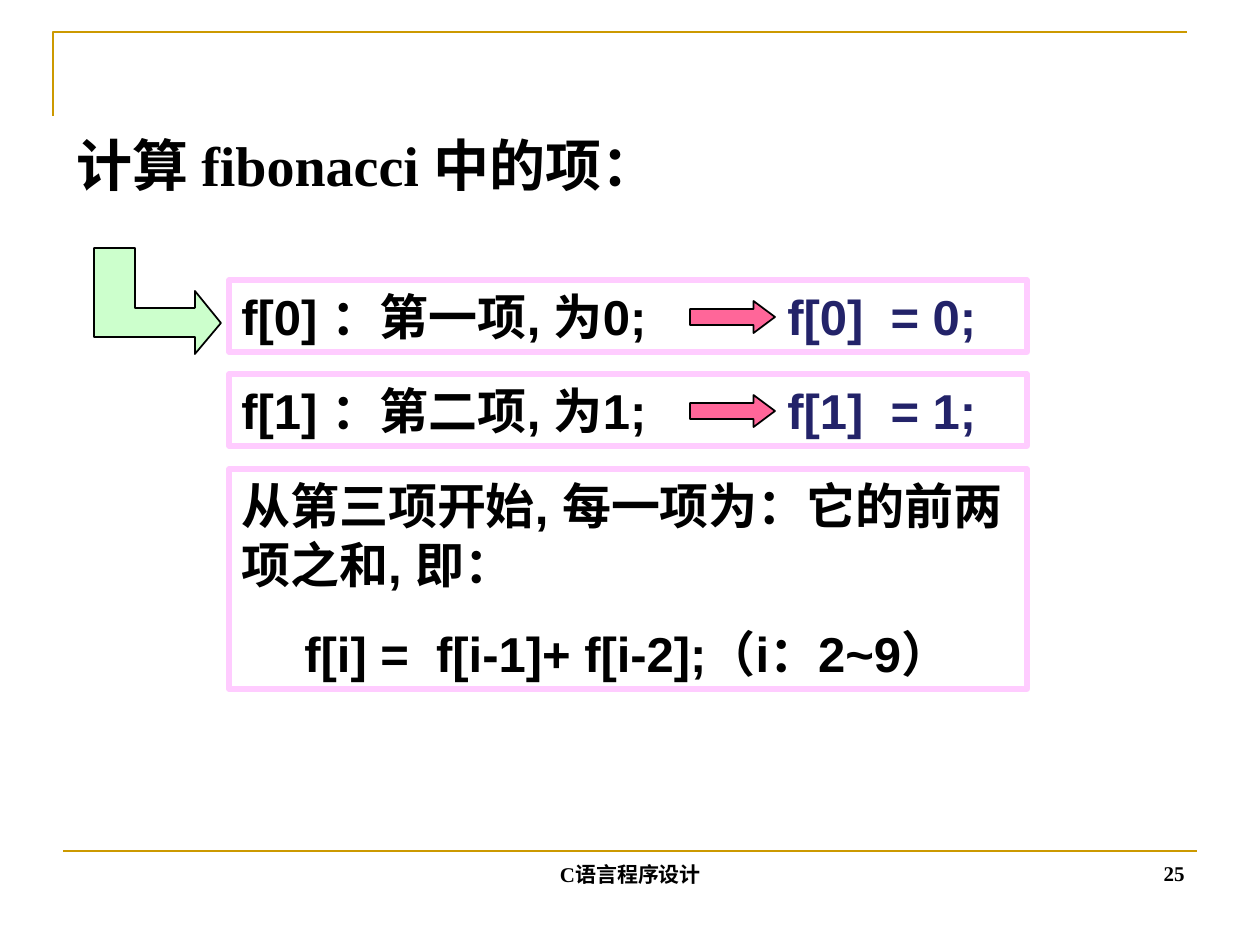
import pptx
import pptx.util
import pptx.dml.color
import pptx.enum.shapes
import pptx.enum.text
import pptx.oxml.ns
import lxml.etree

RGBColor = pptx.dml.color.RGBColor
Align = pptx.enum.text.PP_ALIGN
Anchor = pptx.enum.text.MSO_ANCHOR
Shape = pptx.enum.shapes.MSO_SHAPE

GOLD = RGBColor(0xCC, 0x99, 0x00)
PINK = RGBColor(0xFF, 0xCC, 0xFF)
ROSE = RGBColor(0xFF, 0x66, 0x99)
MINT = RGBColor(0xCC, 0xFF, 0xCC)
NAVY = RGBColor(0x23, 0x23, 0x69)
BLACK = RGBColor(0x00, 0x00, 0x00)

EMU_PER_PX = 914400 / 126
SANS = "Arial"
SERIF = "Times New Roman"

BOX_LEFT, BOX_WIDTH = 229, 798
ROW_TOP, ROW_PITCH, ROW_HEIGHT = 280, 94, 72


def px(length):
    return pptx.util.Emu(round(length * EMU_PER_PX))


def place(left, top, width, height):
    return px(left), px(top), px(width), px(height)


def set_outline(shape, color, points):
    shape.line.color.rgb = color
    shape.line.width = pptx.util.Pt(points)


def write(paragraph, words, font_name, points, color=BLACK):
    run = paragraph.add_run()
    run.text = words
    run.font.name = font_name
    run.font.size = pptx.util.Pt(points)
    run.font.bold = True
    run.font.color.rgb = color


def set_indent(paragraph, left, first=0):
    properties = paragraph._p.get_or_add_pPr()
    properties.set("marL", str(px(left)))
    properties.set("indent", str(px(first)))


def add_rule(slide, left, right, y):
    rule = slide.shapes.add_connector(
        pptx.enum.shapes.MSO_CONNECTOR.STRAIGHT, px(left), px(y), px(right), px(y))
    set_outline(rule, GOLD, 1.5)
    lxml.etree.SubElement(rule._element.spPr, pptx.oxml.ns.qn("a:effectLst"))


def add_outline(slide, points, color, line_points, fill=None):
    corners = [(px(x), px(y)) for x, y in points]
    builder = slide.shapes.build_freeform(*corners[0])
    builder.add_line_segments(corners[1:], close=fill is not None)
    outline = builder.convert_to_shape()
    outline.shadow.inherit = False
    if fill is None:
        outline.fill.background()
    else:
        outline.fill.solid()
        outline.fill.fore_color.rgb = fill
    set_outline(outline, color, line_points)


def add_framed_text(slide, top, height, lines):
    frame = slide.shapes.add_shape(Shape.RECTANGLE, *place(BOX_LEFT, top, BOX_WIDTH, height))
    frame.shadow.inherit = False
    frame.fill.background()
    set_outline(frame, PINK, 3)
    body = frame.text_frame
    body.word_wrap = True
    body.vertical_anchor = Anchor.TOP
    body.auto_size = pptx.enum.text.MSO_AUTO_SIZE.SHAPE_TO_FIT_TEXT
    for level, words in enumerate(lines):
        paragraph = body.add_paragraph() if level else body.paragraphs[0]
        paragraph.alignment = Align.LEFT
        if level:
            paragraph.level = level
            paragraph.space_before = pptx.util.Pt(17.5)
            set_indent(paragraph, 63)
        write(paragraph, words, SANS, 28)


def add_arrow(slide, top):
    arrow = slide.shapes.add_shape(Shape.RIGHT_ARROW, *place(690, top, 85, 32))
    arrow.shadow.inherit = False
    arrow.adjustments[0] = 0.5
    arrow.adjustments[1] = 0.67
    arrow.fill.solid()
    arrow.fill.fore_color.rgb = ROSE
    set_outline(arrow, BLACK, 1)


def add_label(slide, box, words, font_name, points, color=BLACK,
              align=Align.LEFT, anchor=Anchor.TOP, wrap=True):
    label = slide.shapes.add_textbox(*place(*box)).text_frame
    label.word_wrap = wrap
    label.vertical_anchor = anchor
    paragraph = label.paragraphs[0]
    paragraph.alignment = align
    write(paragraph, words, font_name, points, color)
    return paragraph


def main():
    deck = pptx.Presentation()
    deck.slide_width, deck.slide_height = px(1260), px(945)
    slide = deck.slides.add_slide(deck.slide_layouts[6])

    add_outline(slide, [(53, 116), (53, 32), (1187, 32)], GOLD, 1.5)
    add_rule(slide, 63, 1197, 851)

    title = add_label(slide, (64, 111, 861, 98), "计算 fibonacci 中的项：", SERIF, 32)
    title.line_spacing = 1.2
    set_indent(title, 48, -48)

    elbow_arrow = [(221, 323), (195, 291), (195, 308), (135, 308), (135, 248),
                   (94, 248), (94, 337), (195, 337), (195, 354)]
    add_outline(slide, elbow_arrow, BLACK, 1, MINT)

    for index, ordinal in enumerate("一二"):
        top = ROW_TOP + index * ROW_PITCH
        add_framed_text(slide, top, ROW_HEIGHT, [f"f[{index}] ：第{ordinal}项, 为{index};"])
        add_arrow(slide, top + 21)
        add_label(slide, (775, top, 214, ROW_HEIGHT), f"f[{index}]  = {index};",
                  SANS, 28, NAVY, wrap=False)

    add_framed_text(slide, ROW_TOP + 2 * ROW_PITCH + 1, 220, [
        "从第三项开始, 每一项为：它的前两项之和, 即：",
        "f[i] =  f[i-1]+ f[i-2];（i：2~9）",
    ])

    add_label(slide, (431, 830, 399, 63), "C语言程序设计", SERIF, 12,
              align=Align.CENTER, anchor=Anchor.BOTTOM)
    add_label(slide, (903, 829, 294, 63), "25", SERIF, 12,
              align=Align.RIGHT, anchor=Anchor.BOTTOM)

    deck.save("out.pptx")


if __name__ == "__main__":
    main()
